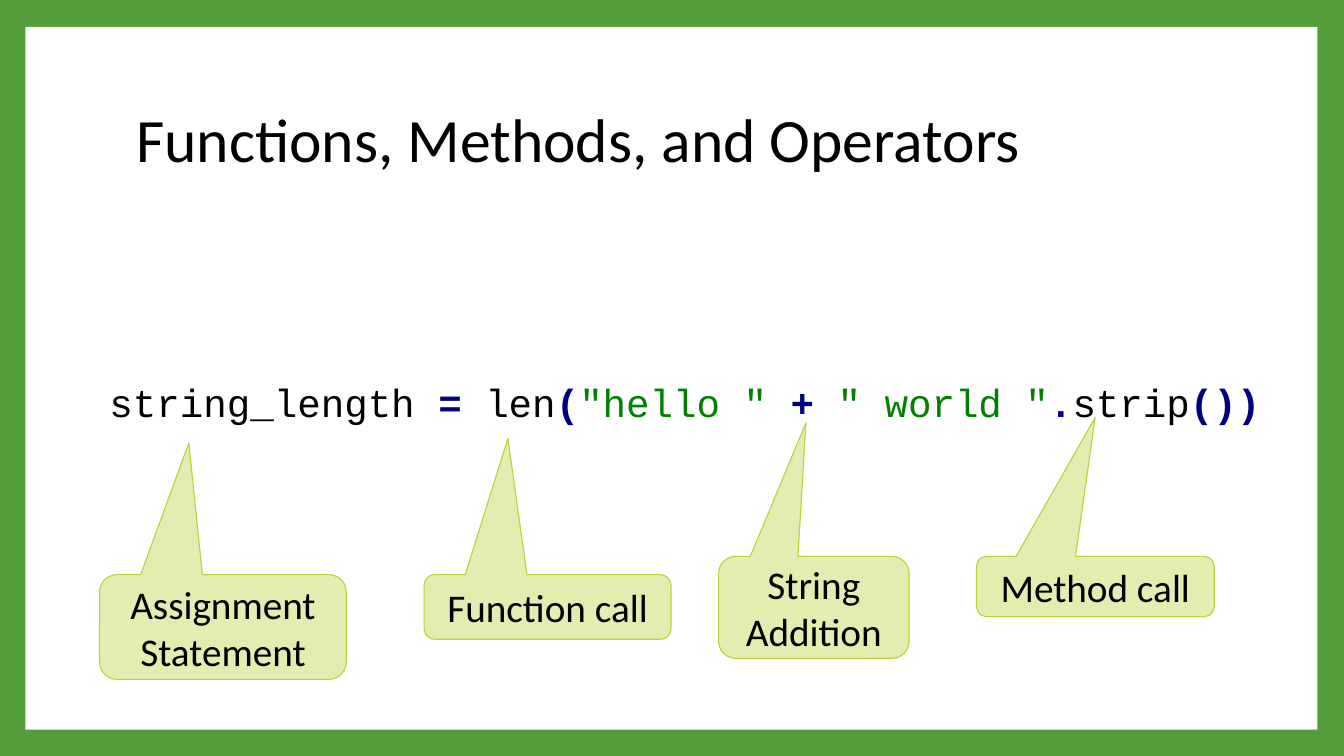
from pptx import Presentation
from pptx.dml.color import RGBColor
from pptx.enum import shapes, text
from pptx.util import Cm, Pt

BLACK, NAVY, GREEN = "000000", "000080", "008000"
CODE = [
    ("string_length ", BLACK), ("=", NAVY), (" len", BLACK), ("(", NAVY),
    ('"hello "', GREEN), (" ", BLACK), ("+", NAVY), (" ", BLACK),
    ('" world "', GREEN), (".", NAVY), ("strip", BLACK), ("())", NAVY),
]
CALLOUTS = [
    ("Assignment Statement", (2.51, 14.48, 6.22, 2.64), (4.76, 11.16)),
    ("Function call", (10.69, 14.48, 6.22, 1.63), (12.8, 11.05)),
    ("String Addition", (18.11, 14.02, 4.8, 2.57), (20.31, 10.66)),
    ("Method call", (24.61, 14.02, 5.99, 1.52), (27.6, 10.52)),
]


def rgb(value):
    """Return the colour for a hex string."""
    return RGBColor.from_string(value)


def set_font(font, name, size, color=BLACK):
    """Set the face, size and colour of a font."""
    font.name, font.size = name, Pt(size)
    font.color.rgb = rgb(color)


def add_frame(slide, box):
    """Paint the green border around a white panel."""
    slide.background.fill.solid()
    slide.background.fill.fore_color.rgb = rgb("549E39")
    sp = slide.shapes.add_shape(shapes.MSO_SHAPE.RECTANGLE, *map(Cm, box))
    sp.shadow.inherit = False
    sp.fill.solid()
    sp.fill.fore_color.rgb = rgb("FFFFFF")
    sp.line.fill.background()


def add_title(slide, box, title):
    """Place and format the title placeholder."""
    sp = slide.shapes.title
    sp.left, sp.top, sp.width, sp.height = map(Cm, box)
    tf = sp.text_frame
    tf.text = title
    tf.auto_size = text.MSO_AUTO_SIZE.NONE
    tf.vertical_anchor = text.MSO_ANCHOR.MIDDLE
    p = tf.paragraphs[0]
    p.alignment = text.PP_ALIGN.LEFT
    p.line_spacing = 0.9
    set_font(p.font, "Calibri", 44)


def add_code(slide, box, tokens):
    """Write one line of coloured code, with operators in bold."""
    tf = slide.shapes.add_textbox(*map(Cm, box)).text_frame
    tf.word_wrap = False
    tf.auto_size = text.MSO_AUTO_SIZE.SHAPE_TO_FIT_TEXT
    p = tf.paragraphs[0]
    for token, color in tokens:
        r = p.add_run()
        r.text = token
        set_font(r.font, "Courier New", 28, color)
        r.font.bold = color == NAVY


def add_callout(slide, label, box, tip):
    """Draw a rounded callout whose pointer ends at the tip."""
    left, top, width, height = box
    sp = slide.shapes.add_shape(
        shapes.MSO_SHAPE.ROUNDED_RECTANGULAR_CALLOUT, *map(Cm, box))
    sp.adjustments[0] = (tip[0] - left) / width - 0.5
    sp.adjustments[1] = (tip[1] - top) / height - 0.5
    sp.adjustments[2] = 0.167
    sp.shadow.inherit = False
    sp.fill.solid()
    sp.fill.fore_color.rgb = rgb("E4EDB0")
    sp.line.color.rgb = rgb("C0CF3A")
    sp.line.width = Pt(0.79)
    tf = sp.text_frame
    tf.word_wrap = True
    tf.vertical_anchor = text.MSO_ANCHOR.MIDDLE
    p = tf.paragraphs[0]
    p.text = label
    p.alignment = text.PP_ALIGN.CENTER
    set_font(p.font, "Calibri", 28)


def main():
    """Build and save the slide."""
    prs = Presentation()
    prs.slide_width, prs.slide_height = Cm(33.87), Cm(19.05)
    s = prs.slides.add_slide(prs.slide_layouts[5])
    add_frame(s, (0.64, 0.68, 32.56, 17.71))
    title = s.shapes.title
    s.shapes._spTree.append(title._element)
    add_title(s, (3.18, 1.7, 27.43, 3.76), "Functions, Methods, and Operators")
    add_code(s, (2.51, 9.42, 29.74, 1.45), CODE)
    for label, box, tip in CALLOUTS:
        add_callout(s, label, box, tip)
    prs.save("out.pptx")


if __name__ == "__main__":
    main()
